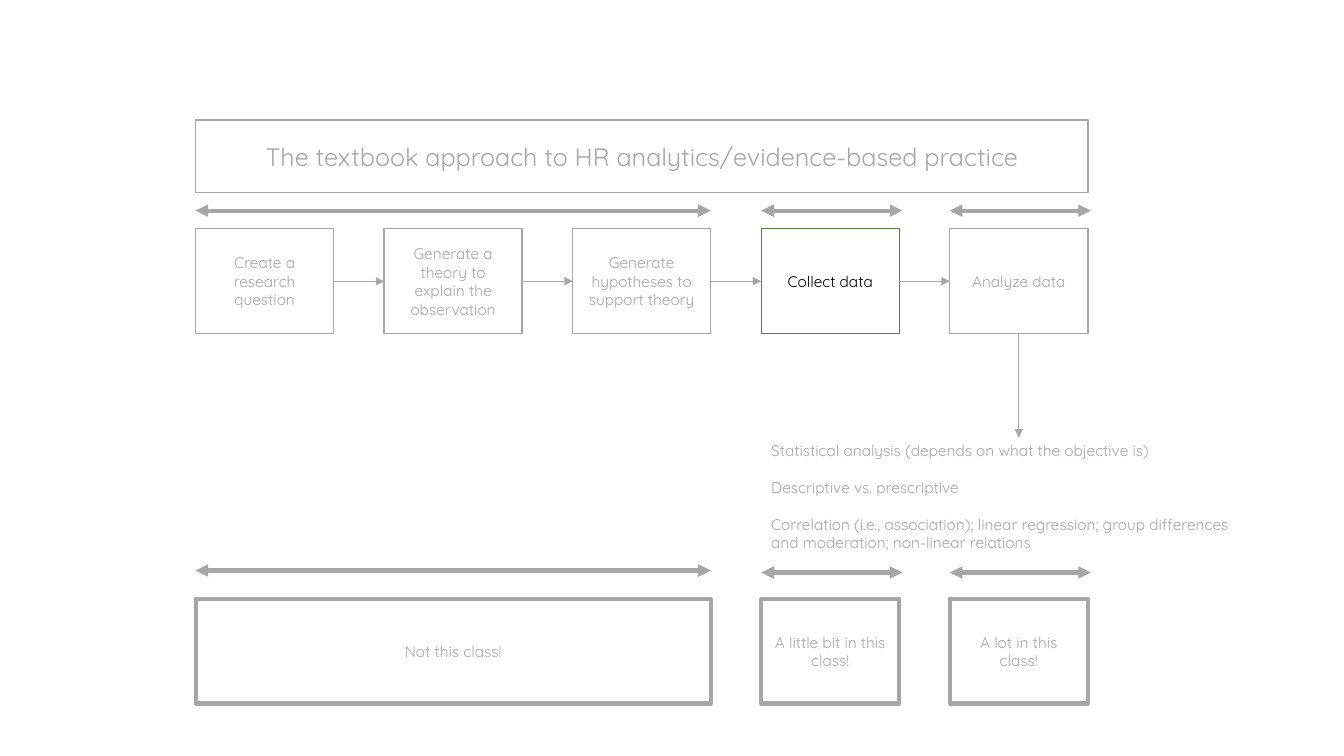
from lxml import etree
from pptx import Presentation
from pptx.dml.color import RGBColor
from pptx.enum.shapes import MSO_CONNECTOR, MSO_SHAPE
from pptx.enum.text import MSO_ANCHOR, PP_ALIGN
from pptx.oxml.ns import qn
from pptx.util import Inches, Pt

RECTANGLE = MSO_SHAPE.RECTANGLE
STRAIGHT = MSO_CONNECTOR.STRAIGHT
MIDDLE, TOP = MSO_ANCHOR.MIDDLE, MSO_ANCHOR.TOP
CENTER, LEFT = PP_ALIGN.CENTER, PP_ALIGN.LEFT
RIGHT_SIDE, LEFT_SIDE, BOTTOM_SIDE = 3, 1, 2

THEME = {
    "font": "Quicksand",
    "muted": RGBColor(0xA6, 0xA6, 0xA6),
    "focus_line": RGBColor(0x54, 0x82, 0x35),
    "focus_text": RGBColor(0, 0, 0),
    "body": 11, "title": 18,
    "thin": 0.5, "normal": 1, "thick": 3,
}

# Grid in inches: five columns, with rows for title, steps and coverage
COL_X = [1.94 + 1.87 * column for column in range(5)]
BOX_W, BOX_H = 1.37, 1.04
TITLE_Y, TITLE_H = 1.19, 0.72
STEP_Y, COVERAGE_Y = 2.27, 5.94
UPPER_SPAN_Y = 2.09

prs = Presentation()
prs.slide_width, prs.slide_height = Inches(13.33), Inches(7.5)
slide = prs.slides.add_slide(prs.slide_layouts[6])


def write(x, y, w, h, paragraphs, size=THEME["body"], color=THEME["muted"],
          line=None, weight=THEME["normal"], align=CENTER, anchor=MIDDLE,
          inset_top=0.05, gaps=None):
    """Add an outlined rectangle, or a plain text box when line is None."""
    area = [Inches(value) for value in (x, y, w, h)]
    if line is None:
        box = slide.shapes.add_textbox(*area)
    else:
        box = slide.shapes.add_shape(RECTANGLE, *area)
        box.shadow.inherit = False
        box.fill.background()
        box.line.color.rgb = line
        box.line.width = Pt(weight)
    frame = box.text_frame
    frame.word_wrap = True
    frame.vertical_anchor = anchor
    frame.margin_top = Inches(inset_top)
    for index, text in enumerate(paragraphs):
        paragraph = frame.paragraphs[0] if index == 0 else frame.add_paragraph()
        paragraph.alignment = align
        if gaps and gaps[index]:
            paragraph.space_before = Pt(gaps[index])
        run = paragraph.add_run()
        run.text = text
        run.font.name, run.font.size = THEME["font"], Pt(size)
        run.font.color.rgb = color
    return box


def arrow(x1, y1, x2, y2, weight=THEME["thin"], ends=("tailEnd",)):
    """Add a straight line with triangles at the named ends."""
    line = slide.shapes.add_connector(
        STRAIGHT, Inches(x1), Inches(y1), Inches(x2), Inches(y2))
    line.line.color.rgb = THEME["muted"]
    line.line.width = Pt(weight)
    for end in ends:
        etree.SubElement(line.line._get_or_add_ln(), qn("a:" + end), type="triangle")
    etree.SubElement(line._element.spPr, qn("a:effectLst"))
    return line


# Title
write(COL_X[0], TITLE_Y, COL_X[-1] + BOX_W - COL_X[0], TITLE_H,
      ["The textbook approach to HR analytics/evidence-based practice"],
      size=THEME["title"], line=THEME["muted"])

# Research steps, with the current one highlighted
steps = [
    "Create a research question",
    "Generate a theory to explain the observation",
    "Generate hypotheses to support theory",
    "Collect data",
    "Analyze data",
]
current_step = "Collect data"
step_boxes = []
for x, step in zip(COL_X, steps):
    focused = step == current_step
    step_boxes.append(write(
        x, STEP_Y, BOX_W, BOX_H, [step],
        color=THEME["focus_text"] if focused else THEME["muted"],
        line=THEME["focus_line"] if focused else THEME["muted"]))

# Arrows from step to step
step_middle = STEP_Y + BOX_H / 2
for column in range(len(steps) - 1):
    link = arrow(COL_X[column] + BOX_W, step_middle, COL_X[column + 1], step_middle)
    link.begin_connect(step_boxes[column], RIGHT_SIDE)
    link.end_connect(step_boxes[column + 1], LEFT_SIDE)

# Coverage: first column, last column, arrow overhang, lower arrow height, label
coverage = [
    (0, 2, 0, 5.66, "Not this class!"),
    (3, 3, 0.03, 5.68, "A little bit in this class!"),
    (4, 4, 0.03, 5.68, "A lot in this class!"),
]
for first, last, overhang, lower_span_y, label in coverage:
    start, end = COL_X[first], COL_X[last] + BOX_W
    write(start, COVERAGE_Y, end - start, BOX_H, [label],
          line=THEME["muted"], weight=THEME["thick"])
    for y in (UPPER_SPAN_Y, lower_span_y):
        arrow(start, y, end + overhang, y, weight=THEME["thick"],
              ends=("headEnd", "tailEnd"))

# Methods that follow from the analysis step
analysis_middle = COL_X[-1] + BOX_W / 2
to_methods = arrow(analysis_middle, STEP_Y + BOX_H, analysis_middle, 4.34)
to_methods.begin_connect(step_boxes[-1], BOTTOM_SIDE)
write(COL_X[3], 4.15, 5.55, 1.77, [
    "Statistical analysis (depends on what the objective is)",
    "Descriptive vs. prescriptive",
    "Correlation (i.e., association); linear regression; group differences",
    "and moderation; non-linear relations",
], align=LEFT, anchor=TOP, inset_top=0.23, gaps=[0, 13, 13, 0])

prs.save("out.pptx")
